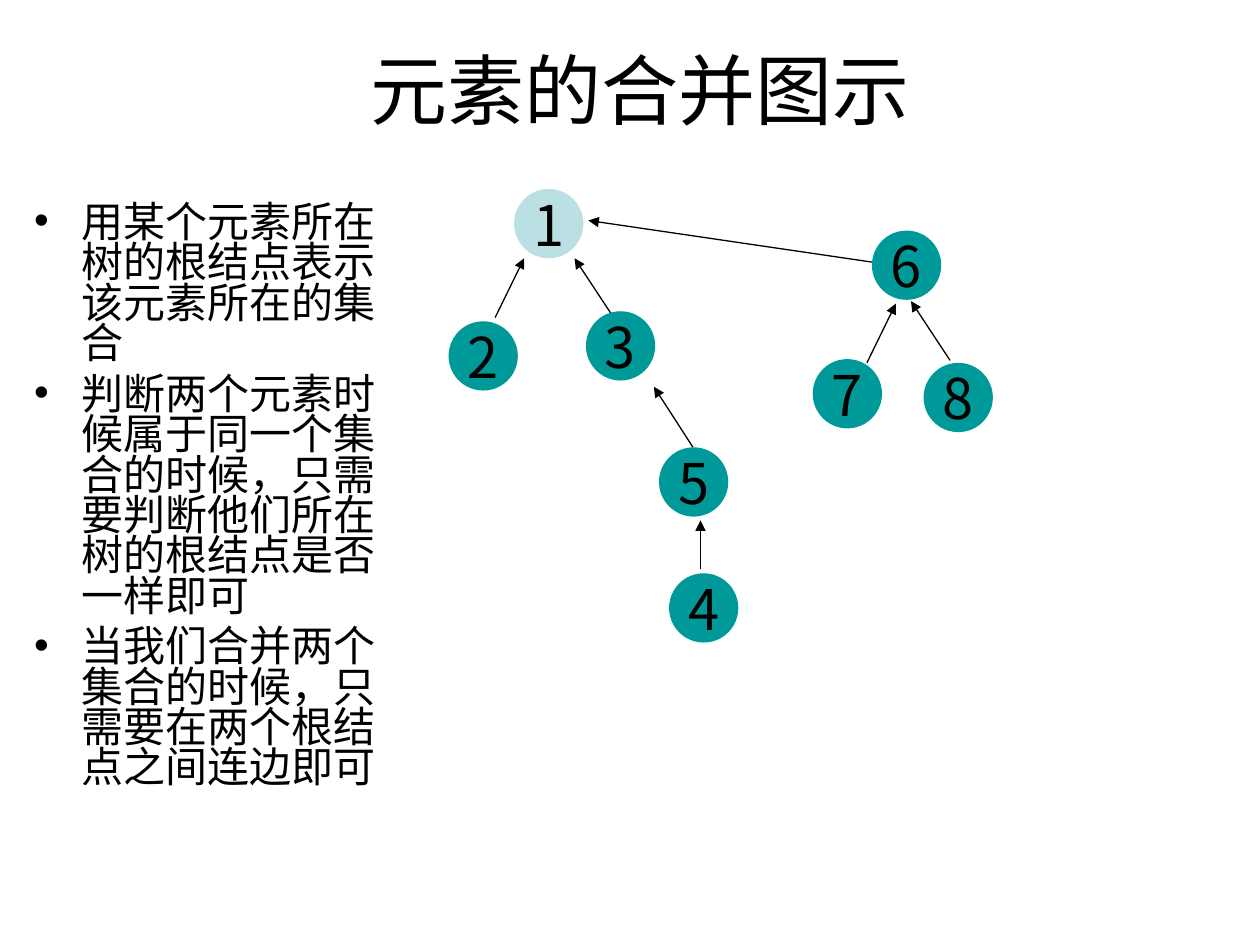
from lxml import etree
from pptx import Presentation
from pptx.dml.color import RGBColor
from pptx.enum.shapes import MSO_CONNECTOR, MSO_SHAPE
from pptx.enum.text import MSO_ANCHOR, MSO_AUTO_SIZE, PP_ALIGN
from pptx.oxml.ns import qn
from pptx.util import Inches, Pt

COLOURS = {"text": "000000", "line": "000000", "root": "BBE0E3", "node": "009999"}
NODE_SIZE = 0.55
ROOT = "1"
NODES = {
    "1": (0.52, 0), "2": (0, 1.05), "3": (1.09, 0.97), "4": (1.75, 3.05),
    "5": (1.67, 2.05), "6": (3.36, 0.33), "7": (2.89, 1.35), "8": (3.77, 1.38),
}
EDGES = [
    ((0.37, 1.02), (0.6, 0.55)),
    ((1.31, 1.02), (1, 0.55)),
    ((1.94, 2.05), (1.63, 1.57)),
    ((2, 3.02), (2, 2.63)),
    ((3.32, 1.38), (3.55, 0.91)),
    ((3.98, 1.36), (3.67, 0.89)),
    ((3.36, 0.58), (1.11, 0.25)),
]
POINTS = [
    "用某个元素所在树的根结点表示该元素所在的集合",
    "判断两个元素时候属于同一个集合的时候，只需要判断他们所在树的根结点是否一样即可",
    "当我们合并两个集合的时候，只需要在两个根结点之间连边即可",
]


def colour(name):
    return RGBColor.from_string(COLOURS[name])


def place(shape, left, top, width, height):
    shape.left, shape.top = Inches(left), Inches(top)
    shape.width, shape.height = Inches(width), Inches(height)


def add_run(paragraph, text, size, font):
    run = paragraph.add_run()
    run.text = text
    run.font.size = Pt(size)
    run.font.name = font
    run.font.color.rgb = colour("text")


def fill_title(shape, left, top, width, height):
    place(shape, left, top, width, height)
    frame = shape.text_frame
    frame.vertical_anchor = MSO_ANCHOR.MIDDLE
    paragraph = frame.paragraphs[0]
    paragraph.alignment = PP_ALIGN.CENTER
    add_run(paragraph, "元素的合并图示", 44, "Arial")


def fill_points(shape, left, top, width, height):
    place(shape, left, top, width, height)
    frame = shape.text_frame
    frame.word_wrap = True
    frame.auto_size = MSO_AUTO_SIZE.NONE
    for index, text in enumerate(POINTS):
        paragraph = frame.add_paragraph() if index else frame.paragraphs[0]
        paragraph.line_spacing = 0.8
        paragraph.space_before = Pt(6)
        properties = paragraph._p.get_or_add_pPr()
        properties.set("marL", str(Inches(0.38)))
        properties.set("indent", str(-Inches(0.38)))
        etree.SubElement(properties, qn("a:buChar"), char="•")
        add_run(paragraph, text, 24, "Arial")


def add_node(slide, label, left, top):
    size = Inches(NODE_SIZE)
    node = slide.shapes.add_shape(MSO_SHAPE.OVAL, Inches(left), Inches(top), size, size)
    node.shadow.inherit = False
    node.fill.solid()
    node.fill.fore_color.rgb = colour("root" if label == ROOT else "node")
    node.line.fill.background()
    frame = node.text_frame
    frame.word_wrap = False
    frame.vertical_anchor = MSO_ANCHOR.MIDDLE
    paragraph = frame.paragraphs[0]
    paragraph.alignment = PP_ALIGN.CENTER
    paragraph.space_before = Pt(8)
    add_run(paragraph, label, 32, "Noto Sans CJK SC")


def add_arrow(slide, start, end):
    arrow = slide.shapes.add_connector(
        MSO_CONNECTOR.STRAIGHT, *(Inches(value) for value in (*start, *end))
    )
    arrow.line.color.rgb = colour("line")
    arrow.line.width = Pt(0.75)
    etree.SubElement(arrow.line._get_or_add_ln(), qn("a:tailEnd"), type="triangle")
    etree.SubElement(arrow._element.spPr, qn("a:effectLst"))


def add_forest(slide, left, top):
    for start, end in EDGES:
        add_arrow(slide, *((left + x, top + y) for x, y in (start, end)))
    for label, (x, y) in NODES.items():
        add_node(slide, label, left + x, top + y)


def main():
    presentation = Presentation()
    presentation.slide_width, presentation.slide_height = Inches(10), Inches(7.5)
    slide = presentation.slides.add_slide(presentation.slide_layouts[1])
    fill_title(slide.shapes.title, 0.58, 0.08, 9, 1.25)
    fill_points(slide.placeholders[1], 0.17, 1.58, 3, 4.95)
    add_forest(slide, 3.56, 1.5)
    presentation.save("out.pptx")


if __name__ == "__main__":
    main()
